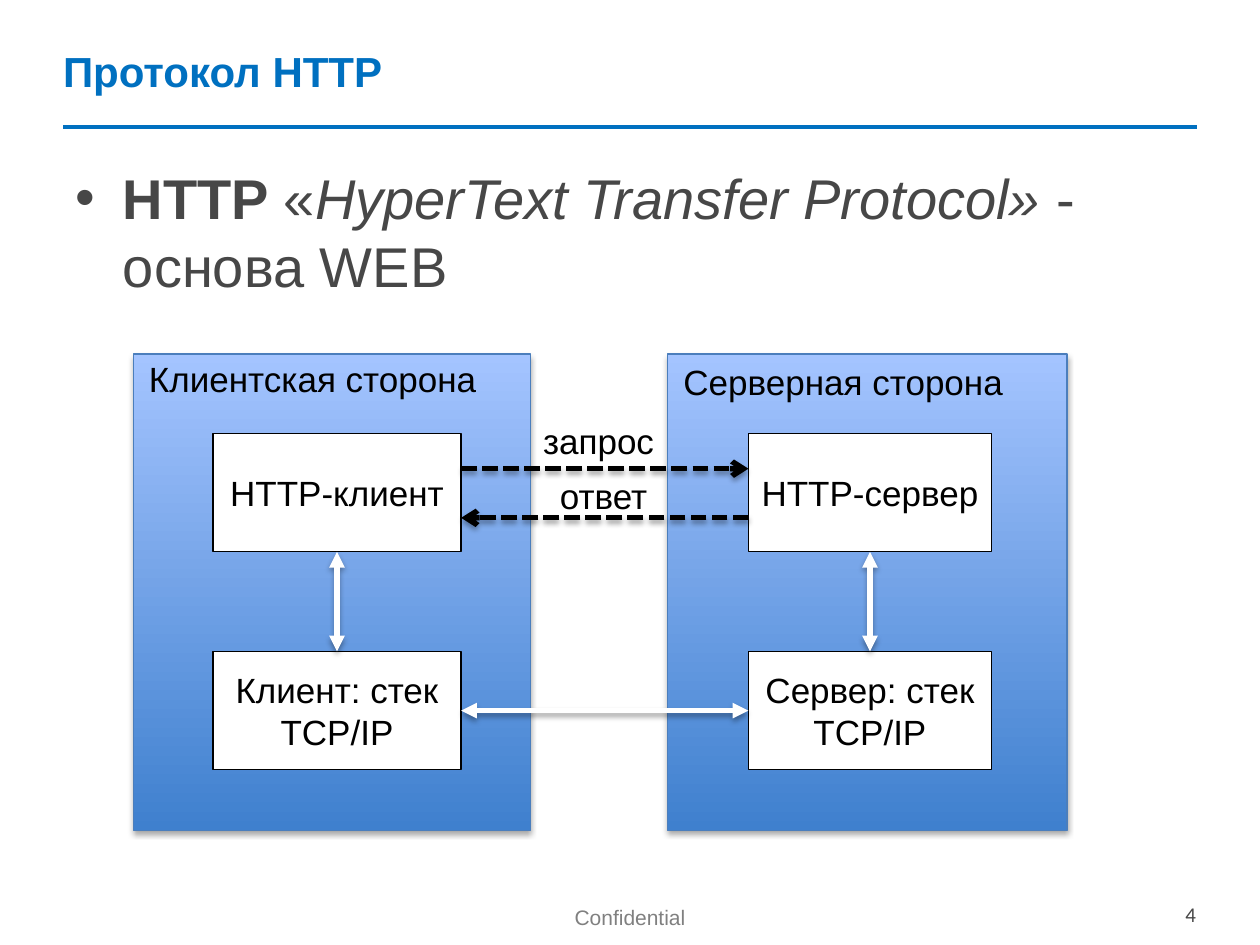
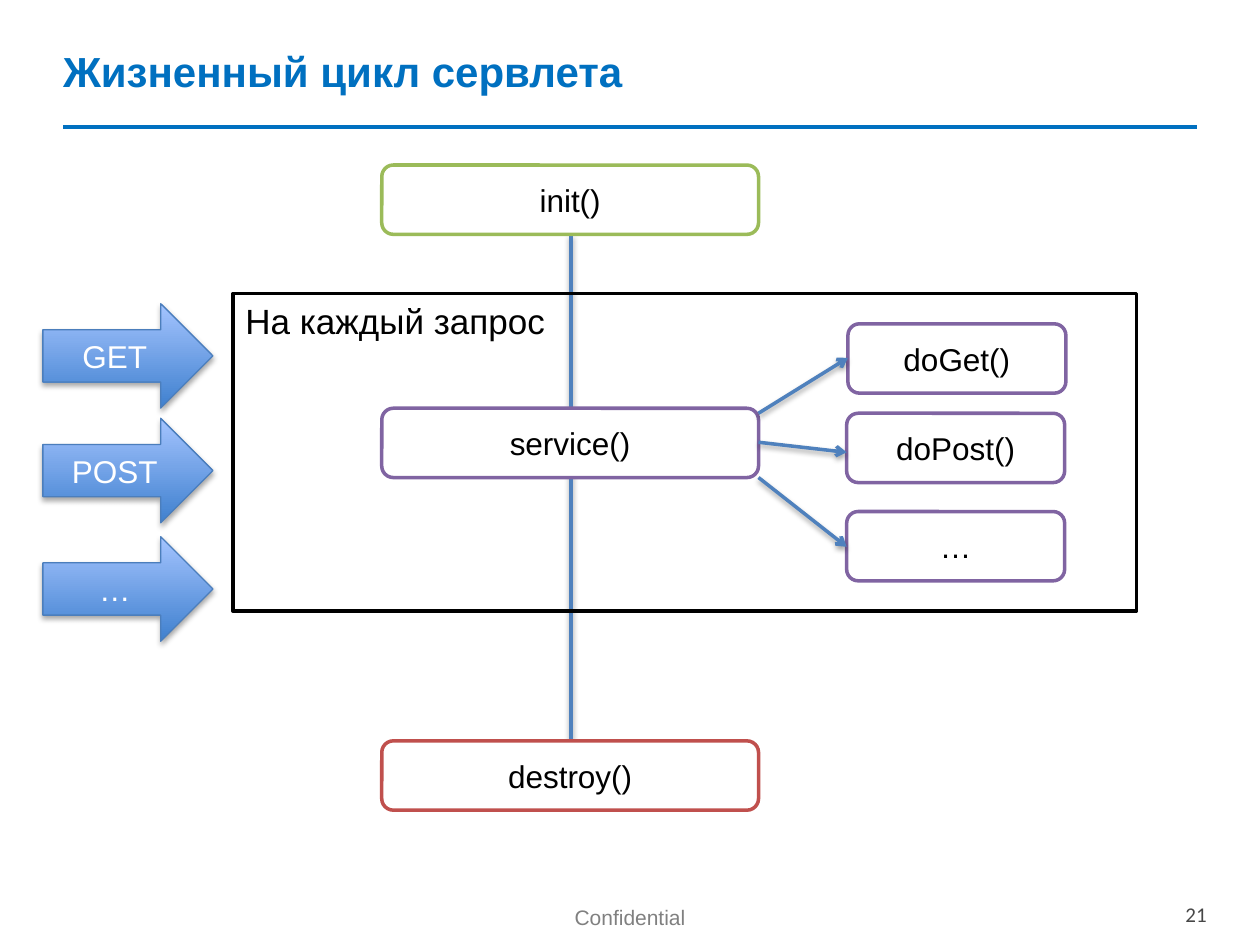
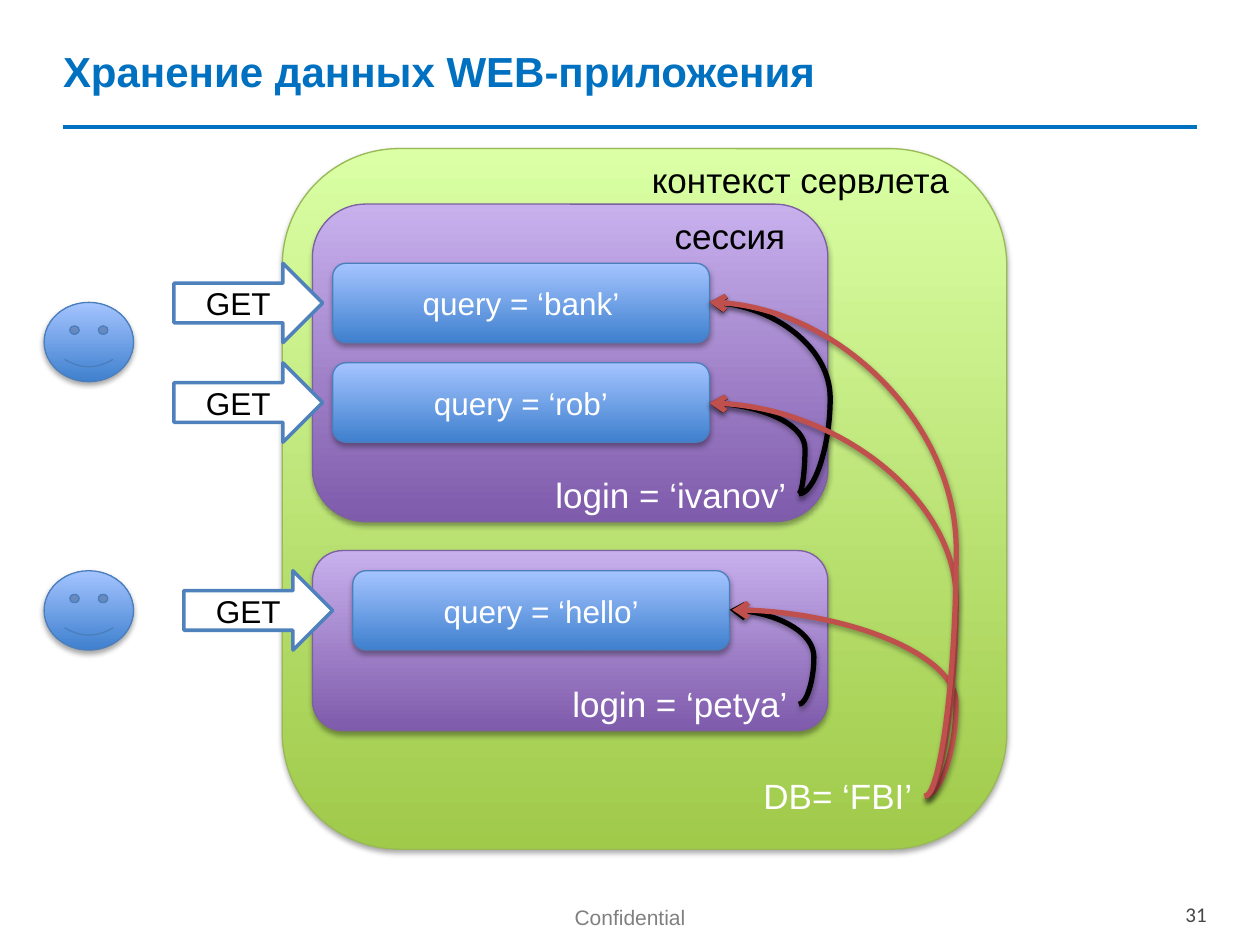
"""Builds three slides on HTTP, the servlet life cycle and web application data."""
import lxml.etree
import pptx
import pptx.dml.color
import pptx.enum.dml
import pptx.enum.shapes
import pptx.enum.text
import pptx.oxml.ns
import pptx.util

Inches = pptx.util.Inches
Color = pptx.dml.color.RGBColor.from_string
SHAPE = pptx.enum.shapes.MSO_SHAPE
CONNECTOR = pptx.enum.shapes.MSO_CONNECTOR
ALIGN = pptx.enum.text.PP_ALIGN
qn = pptx.oxml.ns.qn

TITLE_BLUE, GRAY, FOOTER_GRAY = "0070C0", "474747", "808080"
BLACK, WHITE = "000000", "FFFFFF"
BLUE, RED, GREEN, PURPLE = "4F81BD", "C0504D", "9BBB59", "8064A2"
BLUE_GLOSS = {"fill": ("3F80CE", "A4C4FF"), "line": "4B7EBC", "shadow": True}
GREEN_GLOSS = {"fill": ("A0CA4A", "DAFFA5"), "line": "98B955", "shadow": True}
PURPLE_GLOSS = {"fill": ("7F5BAB", "C8B0ED"), "line": "7D60A0", "shadow": True}


def write(shape, text, size=20, color=BLACK, align=None, bold=False, italic=False, font="Arial"):
    para = shape.text_frame.paragraphs[0]
    para.alignment = align
    span = para.add_run()
    span.text = text
    span.font.name = font
    span.font.size = pptx.util.Pt(size)
    span.font.bold = bold
    span.font.italic = italic
    span.font.color.rgb = Color(color)


def paint(item, line, width=0.75, fill=None, shadow=False, head=None, tail=None):
    item.line.color.rgb = Color(line)
    item.line.width = pptx.util.Pt(width)
    if fill == ():
        item.fill.background()
    elif fill and len(fill) == 1:
        item.fill.solid()
        item.fill.fore_color.rgb = Color(fill[0])
    elif fill:
        item.fill.gradient()
        item.fill.gradient_angle = 90
        for stop, color in zip(item.fill.gradient_stops, fill):
            stop.color.rgb = Color(color)
    properties = item._element.spPr
    for tag, kind in (("a:headEnd", head), ("a:tailEnd", tail)):
        if kind:
            lxml.etree.SubElement(properties.find(qn("a:ln")), qn(tag), type=kind)
    effects = lxml.etree.SubElement(properties, qn("a:effectLst"))
    if shadow:
        outer = lxml.etree.SubElement(effects, qn("a:outerShdw"), blurRad="40000", dist="23000",
                                      dir="5400000", rotWithShape="0")
        tint = lxml.etree.SubElement(outer, qn("a:srgbClr"), val=BLACK)
        lxml.etree.SubElement(tint, qn("a:alpha"), val="35000")


deck = pptx.Presentation()
deck.slide_width, deck.slide_height = Inches(10), Inches(7.5)

slides = []
for layout, number, heading in (
    (1, "4", "Протокол HTTP"),
    (5, "21", "Жизненный цикл сервлета"),
    (5, "31", "Хранение данных WEB-приложения"),
):
    slide = deck.slides.add_slide(deck.slide_layouts[layout])
    slides.append(slide)
    title = slide.shapes.title
    title.left, title.top, title.width, title.height = map(Inches, (0.4, 0.02, 9.29, 1.08))
    title.text_frame.vertical_anchor = pptx.enum.text.MSO_ANCHOR.MIDDLE
    write(title, heading, size=24, color=TITLE_BLUE, align=ALIGN.LEFT, bold=True)
    rule = slide.shapes.add_connector(CONNECTOR.STRAIGHT, *map(Inches, (0.5, 1.01, 9.5, 1.01)))
    paint(rule, TITLE_BLUE, 2)
    for place, text, style in (
        ((3.94, 7.13, 2.12, 0.39), "Confidential", {"color": FOOTER_GRAY, "align": ALIGN.CENTER}),
        ((9.31, 7.1, 0.58, 0.27), number, {"color": GRAY, "font": "Calibri"}),
    ):
        footer = slide.shapes.add_textbox(*map(Inches, place))
        footer.text_frame.word_wrap = True
        footer.text_frame.margin_top = Inches(0.07)
        footer.text_frame.paragraphs[0].line_spacing = 0.93
        write(footer, text, size=12, **style)

protocol, life_cycle, storage = slides

body = protocol.placeholders[1]
body.left, body.top, body.width, body.height = map(Inches, (0.5, 1.25, 9, 1.32))
for text, style in (
    ("HTTP ", {"bold": True}),
    ("«", {}),
    ("HyperText Transfer Protocol»", {"italic": True}),
    ("\u00a0- основа WEB", {}),
):
    write(body, text, size=32, color=GRAY, **style)

for left, width, box_left, box_width, names in (
    (1.06, 3.15, 1.69, 1.97, ("HTTP-клиент", "Клиент: стек TCP/IP")),
    (5.3, 3.17, 5.94, 1.93, ("HTTP-сервер", "Сервер: стек TCP/IP")),
):
    side = protocol.shapes.add_shape(SHAPE.RECTANGLE, *map(Inches, (left, 2.81, width, 3.78)))
    paint(side, **BLUE_GLOSS)
    for top, name in zip((3.44, 5.17), names):
        box = protocol.shapes.add_shape(SHAPE.RECTANGLE, *map(Inches, (box_left, top, box_width, 0.94)))
        paint(box, BLACK, fill=(WHITE,))
        write(box, name, align=ALIGN.CENTER)
    middle = box_left + box_width / 2
    link = protocol.shapes.add_connector(CONNECTOR.STRAIGHT, *map(Inches, (middle, 4.38, middle, 5.17)))
    paint(link, WHITE, 3, shadow=True, head="triangle", tail="triangle")

link = protocol.shapes.add_connector(CONNECTOR.STRAIGHT, *map(Inches, (3.66, 5.64, 5.94, 5.64)))
paint(link, WHITE, 3, shadow=True, head="triangle", tail="triangle")
for start, end, top in ((3.66, 5.94, 3.72), (5.94, 3.66, 4.11)):
    message = protocol.shapes.add_connector(CONNECTOR.STRAIGHT, *map(Inches, (start, top, end, top)))
    message.line.dash_style = pptx.enum.dml.MSO_LINE.SQUARE_DOT
    paint(message, BLACK, 3, shadow=True, tail="arrow")

line = life_cycle.shapes.add_connector(CONNECTOR.STRAIGHT, *map(Inches, (4.53, 1.86, 4.53, 5.88)))
paint(line, BLUE, 2, shadow=True)
frame = life_cycle.shapes.add_shape(SHAPE.RECTANGLE, *map(Inches, (1.85, 2.33, 7.17, 2.52)))
paint(frame, BLACK, 2, fill=())
for left, top, width, color, name in (
    (3.03, 1.31, 2.99, GREEN, "init()"),
    (3.03, 3.24, 2.99, PURPLE, "service()"),
    (3.03, 5.88, 2.99, RED, "destroy()"),
    (6.73, 2.57, 1.73, PURPLE, "doGet()"),
    (6.72, 3.28, 1.73, PURPLE, "doPost()"),
    (6.72, 4.06, 1.73, PURPLE, "…"),
):
    method = life_cycle.shapes.add_shape(SHAPE.ROUNDED_RECTANGLE, *map(Inches, (left, top, width, 0.55)))
    paint(method, color, 2, fill=(WHITE,))
    write(method, name, size=18, align=ALIGN.CENTER)
for top, name in ((2.41, "GET"), (3.32, "POST"), (4.26, "…")):
    request = life_cycle.shapes.add_shape(SHAPE.RIGHT_ARROW, *map(Inches, (0.34, top, 1.35, 0.83)))
    paint(request, **BLUE_GLOSS)
    write(request, name, size=18, color=WHITE, align=ALIGN.CENTER)
for start, end_left, end in ((3.28, 6.73, 2.84), (3.51, 6.72, 3.59), (3.79, 6.72, 4.34)):
    call = life_cycle.shapes.add_connector(CONNECTOR.STRAIGHT, *map(Inches, (6.02, start, end_left, end)))
    paint(call, BLUE, 2, shadow=True, tail="arrow")

for place, gloss in (
    ((2.24, 1.18, 5.75, 5.56), GREEN_GLOSS),
    ((2.48, 1.62, 4.09, 2.52), PURPLE_GLOSS),
    ((2.48, 4.37, 4.09, 1.43), PURPLE_GLOSS),
):
    scope = storage.shapes.add_shape(SHAPE.ROUNDED_RECTANGLE, *map(Inches, place))
    paint(scope, **gloss)
for top in (2.4, 4.53):
    user = storage.shapes.add_shape(SHAPE.SMILEY_FACE, *map(Inches, (0.35, top, 0.71, 0.63)))
    paint(user, **BLUE_GLOSS)
for arrow_left, left, top, name in (
    (1.38, 2.64, 2.09, "bank"),
    (1.38, 2.64, 2.88, "rob"),
    (1.46, 2.8, 4.53, "hello"),
):
    query = storage.shapes.add_shape(SHAPE.ROUNDED_RECTANGLE, *map(Inches, (left, top, 2.99, 0.63)))
    paint(query, **BLUE_GLOSS)
    write(query, f"query = ‘{name}’", size=18, color=WHITE, align=ALIGN.CENTER)
    request = storage.shapes.add_shape(SHAPE.RIGHT_ARROW, *map(Inches, (arrow_left, top, 1.18, 0.63)))
    paint(request, BLUE, 2, fill=(WHITE,))
    write(request, "GET", size=18, align=ALIGN.CENTER)

for left, top, bend, end_left, end, color in (
    (6.34, 3.92, 6.59, 5.63, 2.4, BLACK),
    (6.34, 3.92, 6.39, 5.63, 3.2, BLACK),
    (6.34, 5.59, 6.46, 5.79, 4.84, BLACK),
    (7.34, 6.32, 7.59, 5.81, 4.84, RED),
    (7.34, 6.32, 7.59, 5.63, 3.2, RED),
    (7.34, 6.32, 7.59, 5.63, 2.4, RED),
):
    curve = storage.shapes.add_connector(CONNECTOR.CURVE, *map(Inches, (left, top, end_left, end)))
    paint(curve, color, 3, shadow=True, tail="arrow")
    adjustment = round((left - bend) / (left - end_left) * 100000)
    values = curve._element.spPr.find(qn("a:prstGeom")).find(qn("a:avLst"))
    lxml.etree.SubElement(values, qn("a:gd"), name="adj1", fmla=f"val {adjustment}")

for slide, left, top, width, text, color, align in (
    (protocol, 1.06, 2.79, 2.82, "Клиентская сторона", BLACK, ALIGN.RIGHT),
    (protocol, 5.3, 2.81, 2.76, "Серверная сторона", BLACK, ALIGN.RIGHT),
    (protocol, 4.2, 3.28, 1.09, "запрос", BLACK, ALIGN.RIGHT),
    (protocol, 4.34, 3.72, 0.9, "ответ", BLACK, ALIGN.CENTER),
    (life_cycle, 1.85, 2.33, 2.6, "На каждый запрос", BLACK, ALIGN.LEFT),
    (storage, 4.29, 3.71, 2.05, "login = ‘ivanov’", WHITE, ALIGN.RIGHT),
    (storage, 4.43, 5.37, 1.92, "login = ‘petya’", WHITE, ALIGN.RIGHT),
    (storage, 5.94, 6.1, 1.4, "DB= ‘FBI’", WHITE, ALIGN.RIGHT),
    (storage, 5.24, 1.65, 1.09, "сессия", BLACK, ALIGN.RIGHT),
    (storage, 5.02, 1.21, 2.61, "контекст сервлета", BLACK, ALIGN.RIGHT),
):
    label = slide.shapes.add_textbox(*map(Inches, (left, top, width, 0.44)))
    label.text_frame.word_wrap = False
    write(label, text, color=color, align=align)

deck.save("out.pptx")
